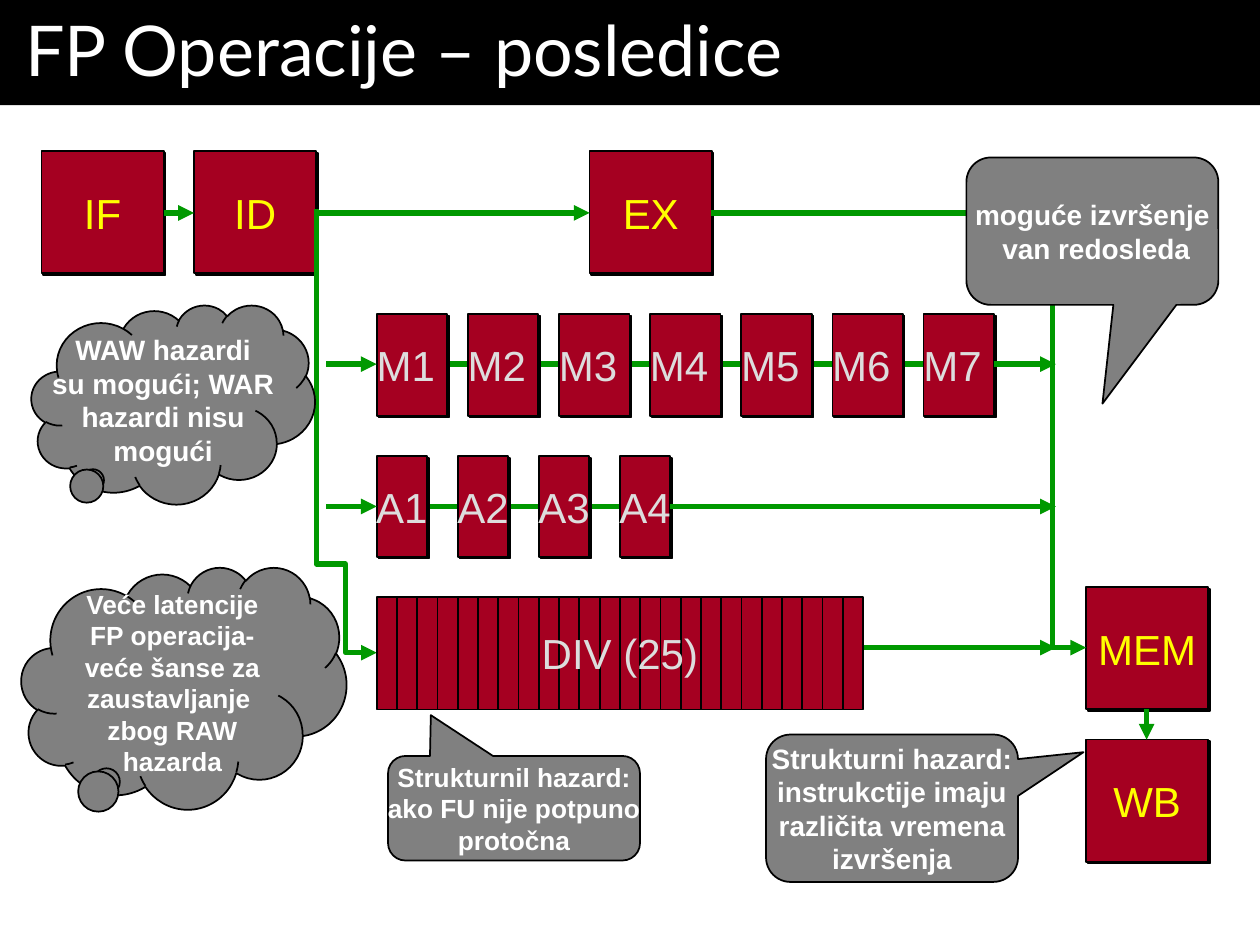
from lxml import etree
from pptx import Presentation
from pptx.dml.color import RGBColor
from pptx.enum.dml import MSO_LINE
from pptx.enum.shapes import MSO_CONNECTOR as LINK, MSO_SHAPE as SHAPE
from pptx.enum.text import MSO_ANCHOR as ANCHOR, MSO_AUTO_SIZE as FIT, PP_ALIGN as ALIGN
from pptx.oxml.ns import qn
from pptx.util import Inches, Pt

BLACK, WHITE, RED, GREEN = "000000", "FFFFFF", "A50021", "009900"
GREY, YELLOW, PALE = "808080", "FFFF00", "DDDDDD"


def color(hex_text):
    return RGBColor.from_string(hex_text)


class PipelineSlide:
    font = "Arial"
    stage_size = 24

    def __init__(self, slide):
        self.slide = slide
        self.shapes = slide.shapes

    def set_text(self, shape, text, size, text_color, bold=False, align=ALIGN.CENTER,
                 font=font, anchor=ANCHOR.MIDDLE, wrap=False, side=0.1):
        frame = shape.text_frame
        frame.text = text
        frame.word_wrap = wrap
        frame.vertical_anchor = anchor
        frame.margin_left = frame.margin_right = Inches(side)
        frame.margin_top = frame.margin_bottom = Inches(0.05)
        for paragraph in frame.paragraphs:
            paragraph.alignment = align
            for run in paragraph.runs:
                run.font.name = font
                run.font.size = Pt(size)
                run.font.bold = bold
                run.font.color.rgb = color(text_color)

    def title(self, text, width, height):
        bar = self.shapes.title
        bar.left, bar.top = Inches(0), Inches(0)
        bar.width, bar.height = Inches(width), Inches(height)
        bar.fill.solid()
        bar.fill.fore_color.rgb = color(BLACK)
        self.set_text(bar, text, 40, WHITE, align=ALIGN.LEFT, font="Lato",
                      anchor=ANCHOR.TOP, wrap=True, side=0.2)
        bar.text_frame.auto_size = FIT.SHAPE_TO_FIT_TEXT

    def block(self, left, top, width, height, kind=SHAPE.RECTANGLE, fill=RED):
        shape = self.shapes.add_shape(
            kind, Inches(left), Inches(top), Inches(width), Inches(height))
        shape.shadow.inherit = False
        shape.fill.solid()
        shape.fill.fore_color.rgb = color(fill)
        shape.line.color.rgb = color(BLACK)
        shape.line.width = Pt(1)
        return shape

    def stage(self, name, left, top, width=0.97, height=0.97,
              text_color=YELLOW, align=ALIGN.CENTER):
        shape = self.block(left, top, width, height)
        effects = shape._element.spPr.find(qn("a:effectLst"))
        shadow = etree.SubElement(effects, qn("a:outerShdw"), dist=str(Pt(1.4)),
                                  dir="2700000", algn="ctr", rotWithShape="0")
        etree.SubElement(shadow, qn("a:srgbClr"), val=BLACK)
        self.set_text(shape, name, self.stage_size, text_color, align=align)

    def label(self, text, left, top, width, height):
        box = self.shapes.add_textbox(
            Inches(left), Inches(top), Inches(width), Inches(height))
        self.set_text(box, text, self.stage_size, PALE)

    def callout(self, kind, lines, left, top, width, height, tip, size):
        shape = self.block(left, top, width, height, kind, GREY)
        shape.adjustments[0], shape.adjustments[1] = tip
        self.set_text(shape, "\n".join(lines), size, WHITE, bold=True)

    def link(self, start, end, arrow=True, kind=LINK.STRAIGHT):
        line = self.shapes.add_connector(kind, *map(Inches, start + end))
        line.line.color.rgb = color(GREEN)
        line.line.width = Pt(3)
        line.line.dash_style = MSO_LINE.SOLID
        properties = line._element.spPr
        if arrow:
            etree.SubElement(properties.find(qn("a:ln")), qn("a:tailEnd"), type="triangle")
        etree.SubElement(properties, qn("a:effectLst"))
        return properties

    def elbow(self, start, end, preset, bends, turn=0):
        properties = self.link(start, end, kind=LINK.ELBOW)
        if turn:
            properties.find(qn("a:xfrm")).set("rot", str(turn * 60000))
        geometry = properties.find(qn("a:prstGeom"))
        geometry.set("prst", preset)
        guides = geometry.find(qn("a:avLst"))
        if guides is None:
            guides = etree.SubElement(geometry, qn("a:avLst"))
        for number, bend in enumerate(bends, 1):
            etree.SubElement(guides, qn("a:gd"), name=f"adj{number}",
                             fmla=f"val {round(bend * 100000)}")


def main():
    deck = Presentation()
    deck.slide_width, deck.slide_height = Inches(10), Inches(7.5)
    page = PipelineSlide(deck.slides.add_slide(deck.slide_layouts[5]))
    page.title("FP Operacije – posledice", 10, 0.77)

    # Lines running behind the adder and multiplier stages
    units_left, main_y, mul_y, add_y, div_y = 2.99, 1.69, 2.89, 4.02, 5.14
    page.link((3.23, add_y), (5.08, add_y), arrow=False)
    page.link((3.23, mul_y), (7.57, mul_y), arrow=False)

    # Integer pipeline stages
    for name, left, top in [("IF", 0.33, 1.2), ("ID", 1.54, 1.2), ("EX", 4.68, 1.2),
                            ("MEM", 8.62, 4.66), ("WB", 8.62, 5.87)]:
        page.stage(name, left, top)

    # Adder and multiplier stages
    add_step, mul_step = (4.92 - units_left) / 3, (7.33 - units_left) / 6
    for i in range(4):
        page.stage(f"A{i + 1}", units_left + i * add_step, 3.62, 0.4, 0.8, PALE)
    for i in range(7):
        page.stage(f"M{i + 1}", units_left + i * mul_step, 2.49, 0.56, 0.81, PALE, ALIGN.RIGHT)

    # Arrows between stages
    bus_x = 8.38
    for start, end in [
        ((1.3, main_y), (1.54, main_y)),
        ((2.51, main_y), (4.68, main_y)),
        ((9.1, 5.63), (9.1, 5.87)),
        ((2.59, mul_y), (units_left, mul_y)),
        ((2.59, add_y), (units_left, add_y)),
        ((5.32, add_y), (bus_x, add_y)),
        ((7.89, mul_y), (bus_x, mul_y)),
        ((6.85, div_y), (bus_x, div_y)),
    ]:
        page.link(start, end)
    page.elbow((5.64, main_y), (8.62, div_y), "bentConnector3", [0.91])
    page.elbow((4.51, 3.18), (0.99, 3.66), "bentConnector4", [0.8, 0.48], turn=270)

    # Divider: 24 adjoining slices
    slices, slice_width = 24, 3.86 / 24
    for i in range(slices):
        page.block(units_left + i * slice_width, 4.74, slice_width, 0.89)
    page.label("DIV (25)", 4.2, 4.93, 1.44, 0.5)

    # Remarks
    speech, cloud = SHAPE.ROUNDED_RECTANGULAR_CALLOUT, SHAPE.CLOUD_CALLOUT
    page.callout(speech, ["Strukturnil hazard:", "ako FU nije potpuno", "protočna"],
                 3.08, 6, 2, 0.83, (-0.33, -0.89), 15)
    page.callout(speech, ["Strukturni hazard:", "instrukctije imaju",
                          "različita vremena", "izvršenja"],
                 6.08, 5.83, 2, 1.17, (0.76, -0.38), 16)
    page.callout(cloud, ["WAW hazardi", "su mogući; WAR", "hazardi nisu", "mogući"],
                 0.25, 2.42, 2.25, 1.58, (-0.29, 0.39), 16)
    page.callout(cloud, ["Veće latencije", "FP operacija-", "veće šanse za",
                         "zaustavljanje ", "zbog RAW", "hazarda"],
                 0.17, 4.5, 2.58, 1.92, (-0.24, 0.39), 15)
    page.callout(speech, ["moguće izvršenje", " van redosleda"],
                 7.67, 1.25, 2, 1.17, (0.04, 1.17), 16)

    deck.save("out.pptx")


if __name__ == "__main__":
    main()
